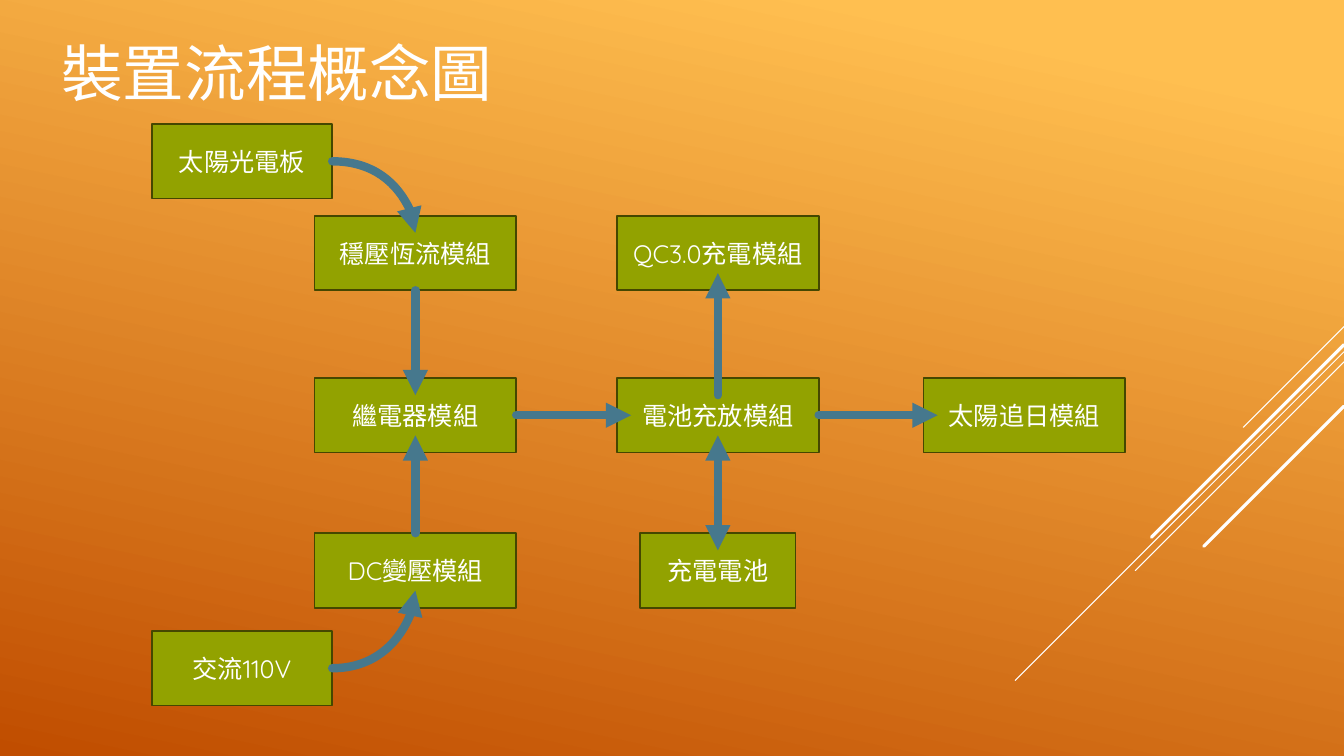
from dataclasses import dataclass

from lxml import etree
from pptx import Presentation
from pptx.dml.color import RGBColor
from pptx.enum.shapes import MSO_CONNECTOR, MSO_SHAPE
from pptx.enum.text import MSO_ANCHOR, PP_ALIGN
from pptx.oxml.ns import qn
from pptx.util import Inches, Pt

RECT = MSO_SHAPE.RECTANGLE
LINE, CURVE = MSO_CONNECTOR.STRAIGHT, MSO_CONNECTOR.CURVE
LEFT, CENTER = PP_ALIGN.LEFT, PP_ALIGN.CENTER
MIDDLE = MSO_ANCHOR.MIDDLE


@dataclass(frozen=True)
class Theme:
    font: str = "Quicksand"
    white: str = "FFFFFF"
    fill: str = "92A200"
    edge: str = "454700"
    arrow: str = "46788D"
    light: str = "FFBF50"
    dark: str = "C04D00"
    title: int = 44
    label: int = 18


THEME = Theme()
WIDTH, HEIGHT = 13.33, 7.5
COLS = (2.4, 4.12, 7.12, 10.16)
ROWS = (1.6, 2.51, 4.12, 5.66, 6.63)
SMALL, MID, WIDE = 1.54, 1.79, 2.0
TALL = 0.74
HALF = TALL / 2
INNER = 0.2

BOXES = (
    ("太陽光電板", 0, 0, MID),
    ("穩壓恆流模組", 1, 1, WIDE),
    ("QC3.0充電模組", 2, 1, WIDE),
    ("繼電器模組", 1, 2, WIDE),
    ("電池充放模組", 2, 2, WIDE),
    ("太陽追日模組", 3, 2, WIDE),
    ("DC變壓模組", 1, 3, WIDE),
    ("充電電池", 2, 3, SMALL),
    ("交流110V", 0, 4, MID),
)

RAYS = (
    (3.24, 1.0, 0.75),
    (3.49, 3.26, 0.75),
    (3.59, 2.07, 0.75),
    (3.42, 1.91, 2.25),
    (4.03, 1.39, 2.25),
)


def tint(code):
    return RGBColor.from_string(code)


def write(shape, text, size=THEME.label, color=THEME.white, align=CENTER, inset=0):
    frame = shape.text_frame
    frame.word_wrap = False
    frame.vertical_anchor = MIDDLE
    frame.margin_left = frame.margin_right = Inches(inset)
    frame.margin_top = frame.margin_bottom = Inches(inset / 2)
    para = frame.paragraphs[0]
    para.alignment = align
    run = para.add_run()
    run.text = text
    run.font.name = THEME.font
    run.font.size = Pt(size)
    run.font.color.rgb = tint(color)


def paint(slide):
    fill = slide.background.fill
    fill.gradient()
    fill.gradient_angle = 360 - 102
    marks = ((0.1, THEME.light), (1, THEME.dark))
    for stop, (place, color) in zip(fill.gradient_stops, marks):
        stop.position = place
        stop.color.rgb = tint(color)


def box(slide, text, col, row, width):
    left, top = COLS[col] - width / 2, ROWS[row] - HALF
    shape = slide.shapes.add_shape(
        RECT, Inches(left), Inches(top), Inches(width), Inches(TALL))
    shape.shadow.inherit = False
    shape.fill.solid()
    shape.fill.fore_color.rgb = tint(THEME.fill)
    shape.line.color.rgb = tint(THEME.edge)
    shape.line.width = Pt(1.25)
    write(shape, text)


def link(slide, start, end, color=THEME.arrow, width=6, kind=LINE, tips=()):
    points = [Inches(value) for value in (*start, *end)]
    wire = slide.shapes.add_connector(kind, *points)
    wire.line.color.rgb = tint(color)
    wire.line.width = Pt(width)
    props = wire._element.spPr
    if kind == CURVE:
        props.find(qn("a:prstGeom")).set("prst", "curvedConnector2")
    pen = props.find(qn("a:ln"))
    pen.set("cap", "rnd")
    for tip in tips:
        etree.SubElement(pen, qn("a:" + tip), type="triangle")
    etree.SubElement(props, qn("a:effectLst"))


def flow(slide):
    one, two, three, four = COLS
    first, upper, core, lower, last = ROWS
    tail = ("tailEnd",)
    both = ("headEnd", "tailEnd")
    side = one + MID / 2
    link(slide, (side, first), (two, upper - INNER), kind=CURVE, tips=tail)
    link(slide, (side, last), (two, lower + INNER), kind=CURVE, tips=tail)
    link(slide, (two, upper + HALF), (two, core - INNER), tips=tail)
    link(slide, (two, lower - HALF), (two, core + INNER), tips=tail)
    link(slide, (three, core - INNER), (three, upper + INNER), tips=tail)
    link(slide, (three, core + INNER), (three, lower - INNER), tips=both)
    for here, there in ((two, three), (three, four)):
        link(slide, (here + WIDE / 2, core), (there - 0.86, core), tips=tail)


def main():
    deck = Presentation()
    deck.slide_width, deck.slide_height = Inches(WIDTH), Inches(HEIGHT)
    slide = deck.slides.add_slide(deck.slide_layouts[6])
    paint(slide)
    for top, span, width in RAYS:
        link(slide, (WIDTH, top), (WIDTH - span, top + span), THEME.white, width)
    for item in BOXES:
        box(slide, *item)
    flow(slide)
    title = slide.shapes.add_textbox(
        Inches(0.51), Inches(0.29), Inches(4.52), Inches(0.84))
    write(title, "裝置流程概念圖", size=THEME.title, align=LEFT, inset=0.1)
    deck.save("out.pptx")


if __name__ == "__main__":
    main()
